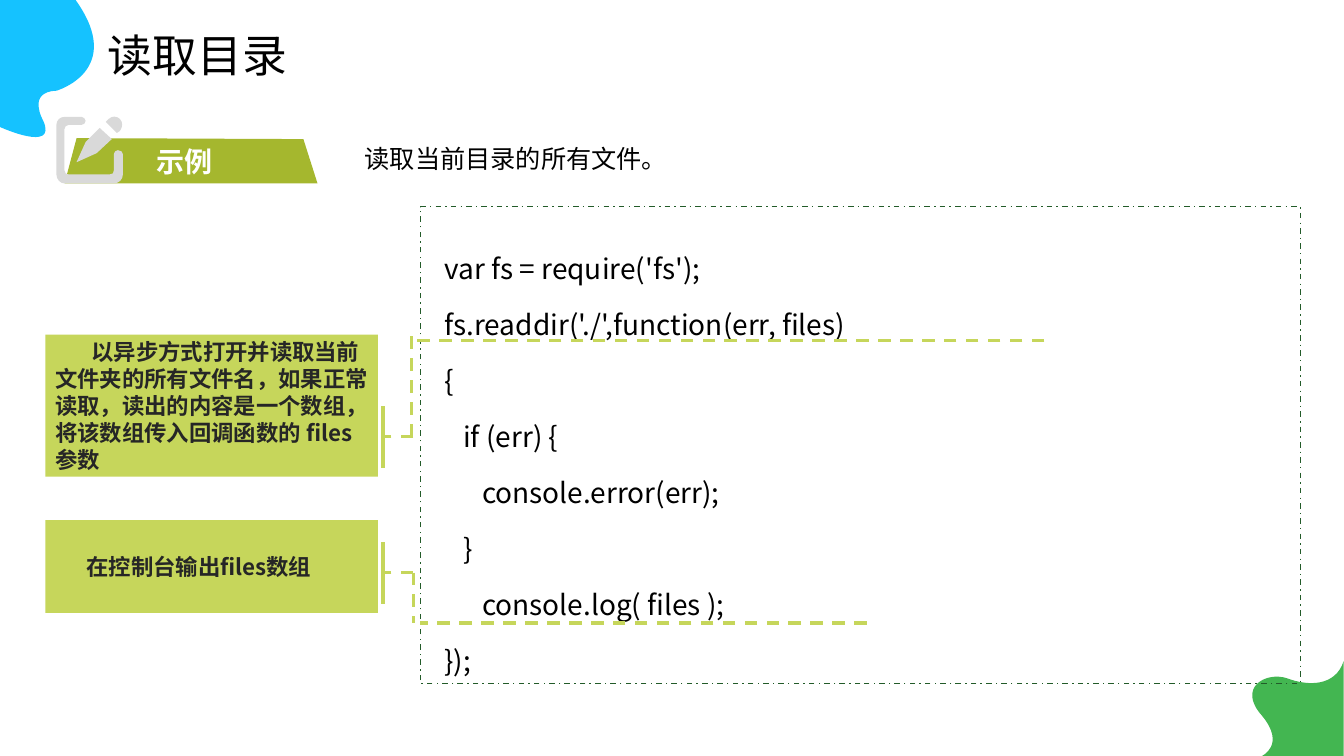
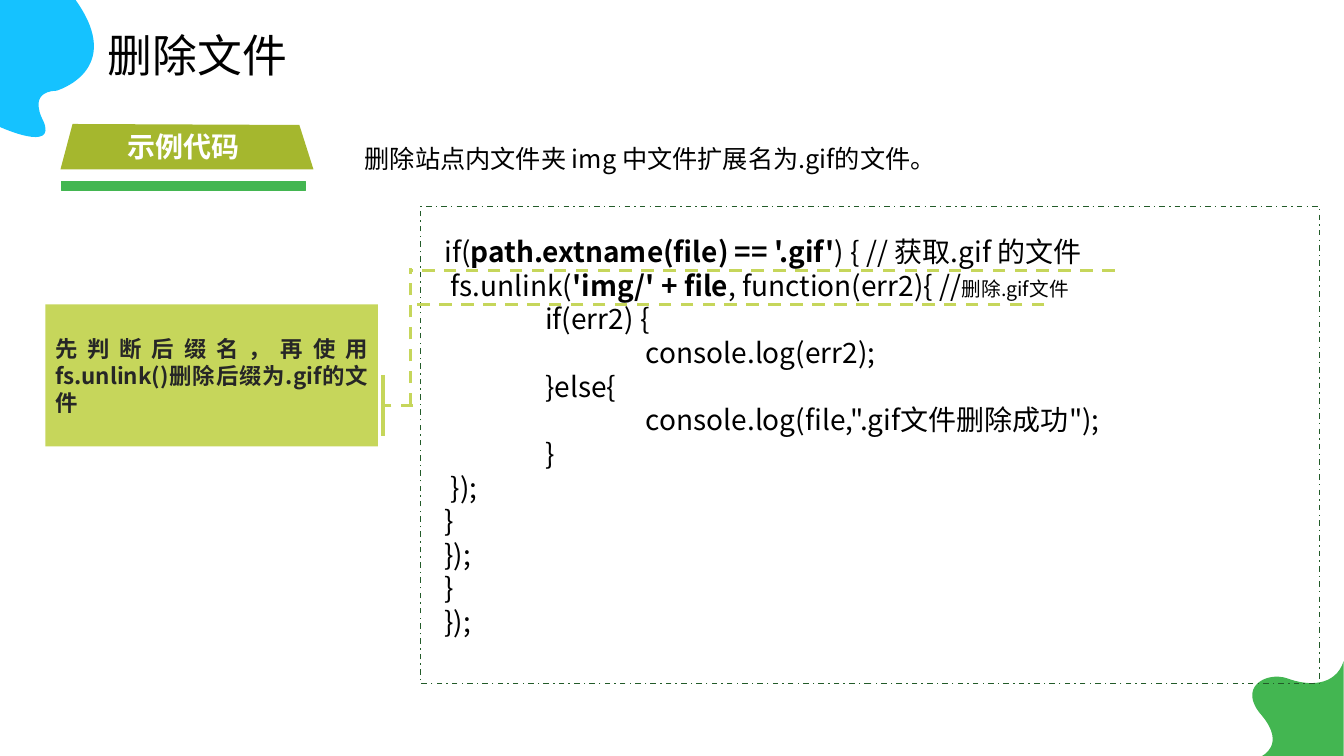
import pptx
import pptx.util
import pptx.dml.color
import pptx.enum.dml
import pptx.enum.shapes
import pptx.enum.text
import pptx.oxml
import pptx.oxml.ns

Inches = pptx.util.Inches
Pt = pptx.util.Pt
ALIGN = pptx.enum.text.PP_ALIGN
DASH = pptx.enum.dml.MSO_LINE
RECTANGLE = pptx.enum.shapes.MSO_SHAPE.RECTANGLE
NAMESPACE = pptx.oxml.ns.nsdecls("a")
FONT = "Noto Sans CJK SC"
COLORS = {
    "black": "000000",
    "white": "FFFFFF",
    "note": "262626",
    "blue": "15C2FF",
    "green": "43B651",
    "frame": "225B29",
    "lime": "C6D65B",
    "olive": "A5B72E",
    "gray": "D9D9D9",
}
RGB = {name: pptx.dml.color.RGBColor.from_string(code) for name, code in COLORS.items()}
STYLES = {
    "title": {"size": Pt(32), "color": "black"},
    "code": {"size": Pt(20), "color": "black"},
    "task": {"size": Pt(18), "color": "black"},
    "banner": {"size": Pt(20), "bold": True, "color": "white"},
    "note": {"size": Pt(16), "bold": True, "color": "note"},
}

BLUE_CORNER = [[
    (0, 1.26), (0, 1.26, 0.57, 1.52, 0.43, 1.2), (0.43, 1.2, 0.26, 0.91, 0.56, 0.9),
    (0.56, 0.9, 1.25, 0.7, 0.75, 0), (0, 0, 0, 0, 0, 0), (0, 1.26),
]]
GREEN_CORNER = [[
    (12.52, 7.5), (12.52, 7.5, 12.76, 7.39, 12.52, 7.1),
    (12.27, 6.82, 12.56, 6.66, 12.77, 6.73), (12.98, 6.81, 13.25, 6.81, 13.33, 6.56),
    (13.33, 7.5, 13.33, 7.5, 13.33, 7.5), (12.52, 7.5),
]]
BANNER = [[(0.76, 1.37), (3.01, 1.38), (3.15, 1.82), (0.64, 1.82), (0.76, 1.37)]]
PENCIL_ICON = [
    [(1.19, 1.3), (1.16, 1.32), (1.05, 1.21), (1.08, 1.18),
     (1.11, 1.15, 1.16, 1.15, 1.19, 1.18), (1.22, 1.21, 1.22, 1.26, 1.19, 1.3)],
    [(1.11, 1.38), (0.96, 1.52), (0.76, 1.61), (0.85, 1.41), (0.99, 1.27), (1.11, 1.38)],
    [(0.81, 1.24), (0.68, 1.24), (0.66, 1.24, 0.64, 1.26, 0.64, 1.28), (0.64, 1.69),
     (0.64, 1.72, 0.66, 1.73, 0.68, 1.73), (1.09, 1.73),
     (1.12, 1.73, 1.13, 1.72, 1.13, 1.69), (1.13, 1.53),
     (1.13, 1.51, 1.15, 1.49, 1.17, 1.49), (1.2, 1.49, 1.22, 1.51, 1.22, 1.53),
     (1.22, 1.73), (1.22, 1.78, 1.18, 1.82, 1.13, 1.82), (0.64, 1.82),
     (0.6, 1.82, 0.56, 1.78, 0.56, 1.73), (0.56, 1.24),
     (0.56, 1.19, 0.6, 1.16, 0.64, 1.16), (0.81, 1.16),
     (0.83, 1.16, 0.85, 1.18, 0.85, 1.2), (0.85, 1.22, 0.83, 1.24, 0.81, 1.24)],
]

PAGES = [
    {
        "title": "读取目录",
        "task": "读取当前目录的所有文件。",
        "banner": "示例",
        "banner_box": (1.45, 1.38, 0.76, 0.44),
        "banner_shift": (0, 0),
        "icon": True,
        "frame_width": 8.73,
        "code_height": 4.61,
        "code_format": {"line_spacing": 1.5, "space_before": Pt(4)},
        "code": [
            "var fs = require('fs');",
            "fs.readdir('./',function(err, files)",
            "{",
            "   if (err) {",
            "      console.error(err);",
            "   }",
            "      console.log( files );",
            "});",
        ],
        "callouts": [
            {"text": "在控制台输出files数组", "top": 5.16, "height": 0.92,
             "format": {"alignment": ALIGN.LEFT}, "indent": 0.31,
             "stub": 5.68, "riser": (4.1, 6.18), "underlines": [(4.17, 8.6, 6.18)]},
            {"text": "以异步方式打开并读取当前文件夹的所有文件名，如果正常读取，"
                     "读出的内容是一个数组，将该数组传入回调函数的 files 参数",
             "top": 3.32, "height": 1.41,
             "format": {"alignment": ALIGN.LEFT}, "indent": 0.36,
             "stub": 4.33, "riser": (4.08, 3.32), "underlines": [(4.1, 10.36, 3.38)]},
        ],
    },
    {
        "title": "删除文件",
        "task": "删除站点内文件夹 img 中文件扩展名为.gif的文件。",
        "banner": "示例代码",
        "banner_box": (1.17, 1.24, 1.31, 0.44),
        "banner_shift": (-0.04, -0.14),
        "icon": False,
        "frame_width": 8.92,
        "code_height": 4.14,
        "code_format": {},
        "code": [
            [("if(", {}), ("path.extname(file) == '.gif'", {"bold": True}),
             (") { // 获取.gif 的文件", {})],
            [(" fs.unlink(", {}), ("'img/' + file", {"bold": True}),
             (", function(err2){ //", {}), ("删除.gif文件", {"size": Pt(14)})],
            " \tif(err2) {",
            " \t\tconsole.log(err2);",
            " \t}else{",
            " \t\tconsole.log(file,\".gif文件删除成功\");",
            " \t}",
            " });",
            "}",
            "});",
            "}",
            "});",
        ],
        "callouts": [
            {"text": "先判断后缀名，再使用fs.unlink()删除后缀为.gif的文件",
             "top": 3.02, "height": 1.41,
             "format": {"alignment": ALIGN.JUSTIFY}, "indent": 0,
             "stub": 4.02, "riser": (4.07, 2.66),
             "underlines": [(4.1, 10.36, 3.02), (4.07, 11.06, 2.68)]},
        ],
    },
]


def add_outline(slide, contours, color, shift=(0, 0)):
    builder = None
    for contour in contours:
        points = [
            (Inches(segment[i] + shift[0]), Inches(segment[i + 1] + shift[1]))
            for segment in contour for i in range(0, len(segment), 2)
        ]
        if builder is None:
            builder = slide.shapes.build_freeform(*points[0], scale=1.0)
        else:
            builder.move_to(*points[0])
        builder.add_line_segments(points[1:], close=True)
    shape = builder.convert_to_shape()
    steps = iter(shape._element.findall(".//" + pptx.oxml.ns.qn("a:lnTo")))
    for contour in contours:
        for segment in contour[1:]:
            step = next(steps)
            if len(segment) == 6:
                curve = pptx.oxml.parse_xml(f"<a:cubicBezTo {NAMESPACE}/>")
                step.addprevious(curve)
                for control in (step, next(steps), next(steps)):
                    curve.append(control[0])
                    control.getparent().remove(control)
    shape.shadow.inherit = False
    shape.fill.solid()
    shape.fill.fore_color.rgb = RGB[color]
    shape.line.fill.background()


def write_text(shape, lines, style, paragraph_format, wrap=True):
    frame = shape.text_frame
    frame.word_wrap = wrap
    for index, line in enumerate(lines):
        paragraph = frame.add_paragraph() if index else frame.paragraphs[0]
        paragraph._p.get_or_add_pPr().set("defTabSz", str(Inches(1)))
        for name, value in paragraph_format.items():
            if index or name != "space_before":
                setattr(paragraph, name, value)
        for text, changes in [(line, {})] if isinstance(line, str) else line:
            run = paragraph.add_run()
            run.text = text
            values = {**STYLES[style], **changes, "name": FONT}
            run.font.color.rgb = RGB[values.pop("color")]
            for name, value in values.items():
                setattr(run.font, name, value)
            run.font._element.append(
                pptx.oxml.parse_xml(f'<a:ea {NAMESPACE} typeface="{FONT}"/>'))


presentation = pptx.Presentation()
presentation.slide_width = Inches(40 / 3)
presentation.slide_height = Inches(7.5)

for page in PAGES:
    slide = presentation.slides.add_slide(presentation.slide_layouts[6])
    add_outline(slide, BLUE_CORNER, "blue")
    add_outline(slide, GREEN_CORNER, "green")

    text_boxes = [
        ((0.97, 0.23, 1.98, 0.64), [page["title"]], "title", {}, False),
        ((4.31, 2.28, 8.85, page["code_height"]), page["code"], "code",
         page["code_format"], True),
        ((3.52, 1.37, 7.75, 0.4), [page["task"]], "task", {}, True),
    ]
    for box, lines, style, paragraph_format, wrap in text_boxes:
        shape = slide.shapes.add_textbox(*map(Inches, box))
        write_text(shape, lines, style, paragraph_format, wrap)
        shape.text_frame.auto_size = pptx.enum.text.MSO_AUTO_SIZE.SHAPE_TO_FIT_TEXT

    code_frame = slide.shapes.add_shape(
        RECTANGLE, *map(Inches, (4.17, 2.05, page["frame_width"], 4.73)))
    code_frame.shadow.inherit = False
    code_frame.fill.background()
    code_frame.line.color.rgb = RGB["frame"]
    code_frame.line.width = Pt(1)
    code_frame.line.dash_style = DASH.DASH_DOT

    for callout in page["callouts"]:
        note = slide.shapes.add_shape(
            RECTANGLE, *map(Inches, (0.45, callout["top"], 3.3, callout["height"])))
        note.shadow.inherit = False
        note.fill.solid()
        note.fill.fore_color.rgb = RGB["lime"]
        note.line.fill.background()
        note.text_frame.vertical_anchor = pptx.enum.text.MSO_ANCHOR.MIDDLE
        write_text(note, [callout["text"]], "note", callout["format"])
        properties = note.text_frame.paragraphs[0]._p.get_or_add_pPr()
        properties.set("indent", str(Inches(callout["indent"])))

        stub = callout["stub"]
        riser_x, riser_end = callout["riser"]
        lines = [
            (3.8, stub - 0.3, 3.8, stub + 0.31, DASH.SOLID),
            (4.1, stub, 3.8, stub, DASH.DASH),
            (riser_x, stub, riser_x, riser_end, DASH.DASH),
        ]
        for left, right, y in callout["underlines"]:
            lines.append((right, y, left, y, DASH.DASH))
        for *ends, dash in lines:
            connector = slide.shapes.add_connector(
                pptx.enum.shapes.MSO_CONNECTOR.STRAIGHT, *map(Inches, ends))
            connector.line.color.rgb = RGB["lime"]
            connector.line.width = Pt(2.25)
            connector.line.dash_style = dash
            connector._element.spPr.append(
                pptx.oxml.parse_xml(f"<a:effectLst {NAMESPACE}/>"))

    add_outline(slide, BANNER, "olive", page["banner_shift"])
    label = slide.shapes.add_textbox(*map(Inches, page["banner_box"]))
    write_text(label, [page["banner"]], "banner", {}, False)
    if page["icon"]:
        add_outline(slide, PENCIL_ICON, "gray")
    else:
        underline = slide.shapes.add_shape(
            RECTANGLE, *map(Inches, (0.61, 1.8, 2.42, 0.09)))
        underline.shadow.inherit = False
        underline.fill.solid()
        underline.fill.fore_color.rgb = RGB["green"]
        underline.line.color.rgb = RGB["green"]
        underline.line.width = Pt(1)

presentation.save("out.pptx")
